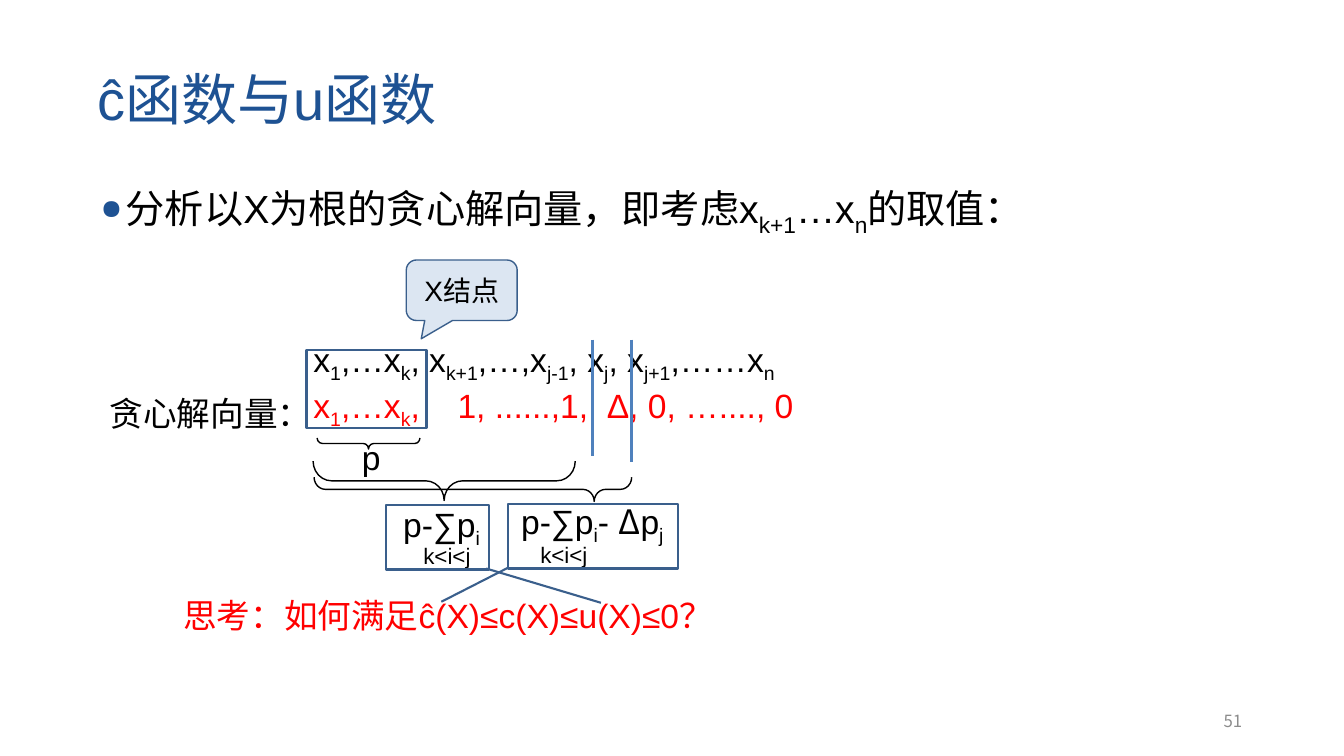
from dataclasses import dataclass
from lxml import etree
from pptx import Presentation
from pptx.dml.color import RGBColor
from pptx.enum import shapes as es, text as et
from pptx.oxml.ns import qn
from pptx.util import Inches, Pt


@dataclass(frozen=True)
class Theme:
    latin: str = "Arial"
    asian: str = "Noto Sans CJK SC"
    black: str = "000000"
    red: str = "FF0000"
    navy: str = "1E5293"
    edge: str = "3A5F8C"
    bar: str = "4F81BD"
    pale: str = "DCE6F2"
    gray: str = "8C8C8C"
    title: int = 40
    body: int = 28
    main: int = 24
    call: int = 20
    small: int = 16
    page: int = 12


T = Theme()
rgb = RGBColor.from_string
deck = Presentation()
deck.slide_width, deck.slide_height = Inches(13.33), Inches(7.5)
slide = deck.slides.add_slide(deck.slide_layouts[6])


def write(para, words, size=T.main, color=T.black, font=T.latin):
    """Fill a paragraph; every second part between bars is a subscript."""
    for i, part in enumerate(words.split("|")):
        if part:
            run = para.add_run()
            run.text = part
            if i % 2:
                run._r.get_or_add_rPr().set("baseline", "-25000")
    para.font.size, para.font.name = Pt(size), font
    para.font.color.rgb = rgb(color)


def label(x, y, w, h, words="", size=T.main, color=T.black, font=T.latin):
    """Add a text box and give back its frame."""
    frame = slide.shapes.add_textbox(*map(Inches, (x, y, w, h))).text_frame
    frame.word_wrap = True
    if words:
        write(frame.paragraphs[0], words, size, color, font)
    return frame


# Title
head = label(0.87, 0.29, 11.5, 1.45, "ĉ函数与u函数", T.title, T.navy)
head.vertical_anchor = et.MSO_ANCHOR.MIDDLE
head.paragraphs[0].line_spacing = 0.9

# Bullet line
para = label(0.9, 1.73, 11.5, 1.04).paragraphs[0]
para.line_spacing = 1.1
props = para._p.get_or_add_pPr()
props.set("marL", str(Inches(0.25)))
props.set("indent", str(-Inches(0.25)))
tint = etree.SubElement(props, qn("a:buClr"))
etree.SubElement(tint, qn("a:srgbClr"), val=T.navy)
etree.SubElement(props, qn("a:buSzPct"), val="70000")
etree.SubElement(props, qn("a:buChar"), char="●")
write(para, "分析以X为根的贪心解向量，即考虑x|k+1|…x|n|的取值：", T.body)

# Solution vector: names above, greedy values below
rows = label(3.01, 3.31, 5.28, 0.91, "x|1|,…x|k|, x|k+1|,…,x|j-1|, x|j|, x|j+1|,……x|n|")
para = rows.add_paragraph()
tabs = etree.SubElement(para._p.get_or_add_pPr(), qn("a:tabLst"))
for stop in (1.43, 2.91):
    etree.SubElement(tabs, qn("a:tab"), pos=str(Inches(stop)), algn="l")
write(para, "x|1|,…x|k|,\t1, ......,1,\tΔ, 0, …...., 0", color=T.red)
label(0.99, 3.77, 2.6, 0.61, "贪心解向量：").paragraphs[0].line_spacing = 1.2

# Bounds, their conditions and the question
label(3.49, 4.29, 0.42, 0.5, "p")
label(3.9, 4.95, 1.02, 0.5, "p-∑p|i")
bound = label(5.07, 4.92, 1.65, 0.5, "p-∑p|i|- ||Δ||p|j")
bound.paragraphs[0].runs[3].font.name = T.asian
for x, y in ((4.1, 5.33), (5.26, 5.32)):
    label(x, y, 0.79, 0.37, "k<i<j", T.small)
label(1.72, 5.85, 5.73, 0.5, "思考：如何满足ĉ(X)≤c(X)≤u(X)≤0？", color=T.red)

# Frames, braces and callouts
kind = es.MSO_SHAPE
brace, note = kind.RIGHT_BRACE, kind.LINE_CALLOUT_1
for form, spot, turn, adj, fill, line, width in (
    (kind.RECTANGLE, (3.04, 3.47, 1.19, 0.78), 0, (), None, T.edge, 1.5),
    (brace, (3.6, 3.89, 0.11, 1.02), 90, (0.47, 0.5), None, T.black, 1),
    (brace, (4.21, 3.47, 0.39, 2.6), 90, (0.47, 0.5), None, T.black, 1),
    (brace, (4.57, 3.28, 0.24, 3.15), 90, (0.47, 0.118), None, T.black, 1),
    (note, (5.04, 5, 1.68, 0.64), 0, (0.985, 0.002, 1.516, -0.395), None, T.edge, 1.5),
    (note, (3.83, 5.01, 1.02, 0.64), 0, (0.985, 0.972, 1.516, 2.088), None, T.edge, 1.5),
    (kind.ROUNDED_RECTANGULAR_CALLOUT, (4.03, 2.58, 1.1, 0.6), 0,
     (-0.365, 0.802, 0.167), T.pale, T.edge, 1),
):
    shape = slide.shapes.add_shape(form, *map(Inches, spot))
    shape.shadow.inherit = False
    shape.rotation = turn
    for i, value in enumerate(adj):
        shape.adjustments[i] = value
    if fill:
        shape.fill.solid()
        shape.fill.fore_color.rgb = rgb(fill)
    else:
        shape.fill.background()
    shape.line.color.rgb, shape.line.width = rgb(line), Pt(width)

# Words of the node callout, the last shape above
frame = shape.text_frame
frame.vertical_anchor = et.MSO_ANCHOR.MIDDLE
frame.paragraphs[0].alignment = et.PP_ALIGN.CENTER
write(frame.paragraphs[0], "X结点", T.call)

# Bars around the split item
for x, end in ((5.88, 4.52), (6.26, 4.58)):
    bar = slide.shapes.add_connector(
        es.MSO_CONNECTOR.STRAIGHT, *map(Inches, (x, 3.37, x, end)))
    bar.line.color.rgb, bar.line.width = rgb(T.bar), Pt(2.25)
    etree.SubElement(bar._element.spPr, qn("a:effectLst"))

# Page number
foot = label(9.42, 6.95, 3, 0.4, "51", T.page, T.gray, T.asian)
foot.vertical_anchor = et.MSO_ANCHOR.MIDDLE
foot.paragraphs[0].alignment = et.PP_ALIGN.RIGHT

deck.save("out.pptx")
